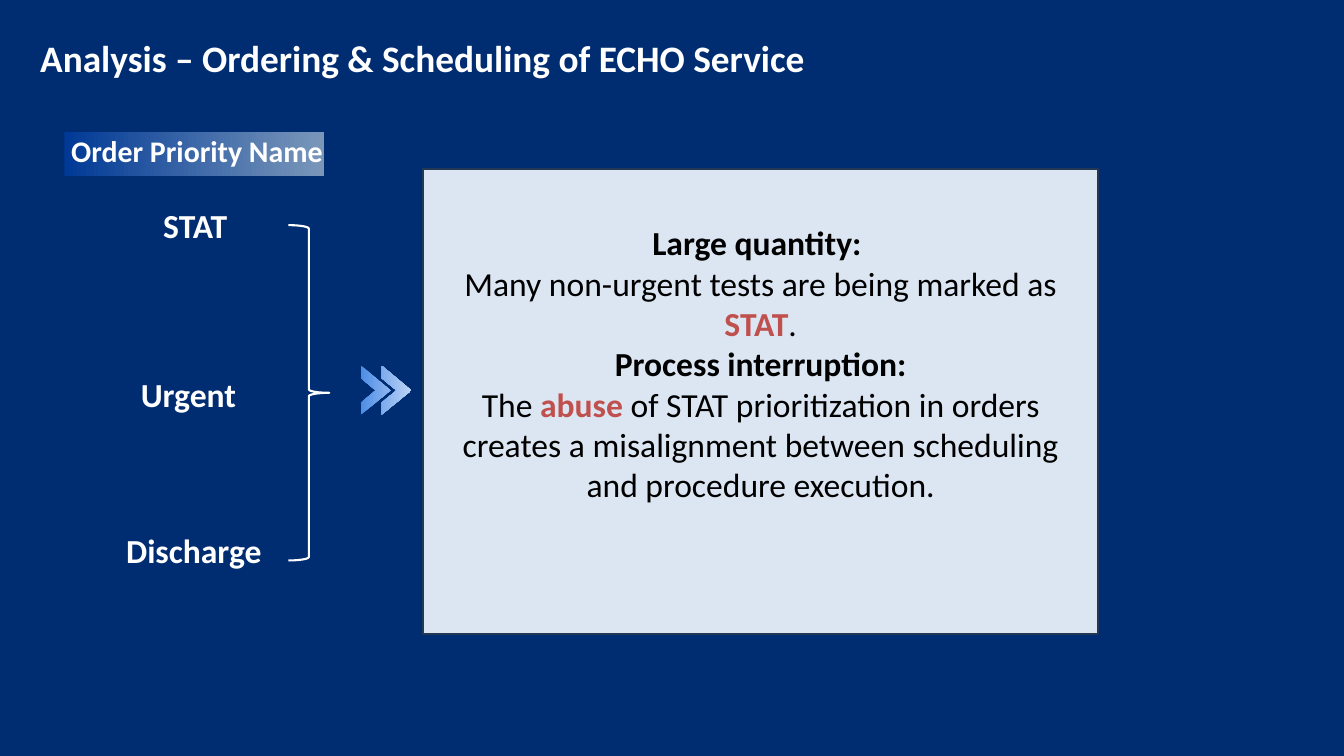
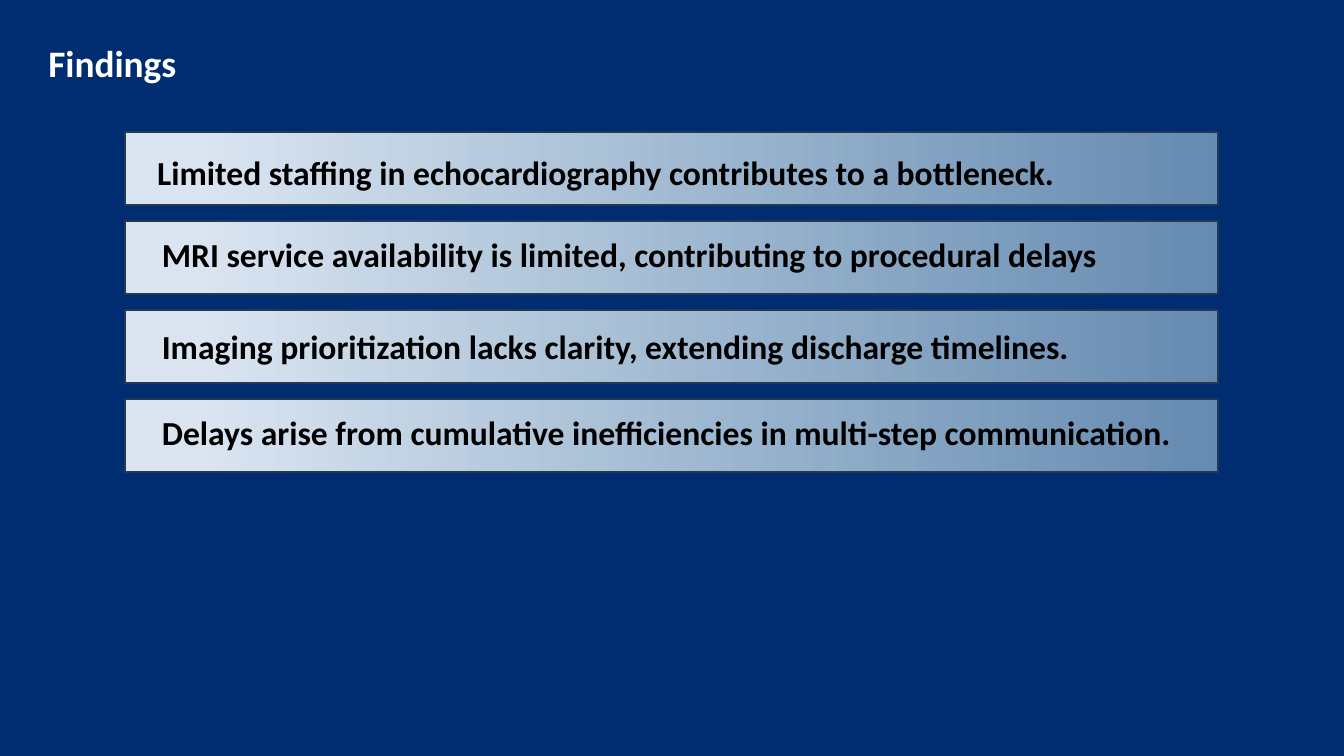
import pptx
import pptx.util
import pptx.dml.color
import pptx.enum.shapes
import pptx.enum.text
import pptx.oxml.ns
from lxml import etree

PX = 9144
SIZE = (2000, 1125)
KIND = pptx.enum.shapes.MSO_SHAPE
ALIGN = pptx.enum.text.PP_ALIGN
HUE = {
    "navy": "002D72", "white": "FFFFFF", "black": "000000", "red": "C0504D",
    "pale": "DCE6F2", "edge": "233953", "royal": "003996", "steel": "7A97BA",
    "ice": "CAE6EE", "sky": "BDD4F6", "blue": "4D8DE5",
}
TITLE = {"size": 40, "bold": True, "hue": "white"}
LABEL = {"size": 36, "bold": True, "hue": "white"}
HEAD = {"size": 32, "bold": True, "hue": "white"}
STRONG = {"size": 36, "bold": True, "hue": "black"}
PLAIN = STRONG | {"bold": False}
ALERT = STRONG | {"hue": "red"}

ORDERS = [("STAT", 68, 107), ("Urgent", 58, 358), ("Discharge", 66, 590)]
ISSUES = [
    [("Large quantity: ", STRONG)],
    [("Many non-urgent tests are being marked as ", PLAIN), ("STAT", ALERT), (".", PLAIN)],
    [("Process interruption:", STRONG)],
    [("The ", PLAIN), ("abuse ", ALERT),
     ("of STAT prioritization in orders creates a misalignment "
      "between scheduling and procedure execution.", PLAIN)],
]
FINDS = [
    ("Limited staffing in echocardiography contributes to a bottleneck.", 38, 24, 1701),
    ("MRI service availability is limited, contributing to procedural delays", 45, 14, 1456),
    ("Imaging prioritization lacks clarity, extending discharge timelines.", 45, 19, 1456),
    ("Delays arise from cumulative inefficiencies in multi-step communication.", 45, 14, 1611),
]


def emu(*vals):
    return [pptx.util.Emu(round(val * PX)) for val in vals]


def rgb(name):
    return pptx.dml.color.RGBColor.from_string(HUE[name])


def style(font, form):
    vals = form | {"name": "Calibri", "size": pptx.util.Pt(form["size"])}
    font.color.rgb = rgb(vals.pop("hue"))
    for key, val in vals.items():
        setattr(font, key, val)


def write(shapes, box, paras, align=ALIGN.LEFT):
    frame = shapes.add_textbox(*emu(*box)).text_frame
    frame.word_wrap = True
    frame.auto_size = pptx.enum.text.MSO_AUTO_SIZE.SHAPE_TO_FIT_TEXT
    for num, runs in enumerate(paras):
        para = frame.add_paragraph() if num else frame.paragraphs[0]
        para.alignment = align
        for text, form in runs:
            run = para.add_run()
            run.text = text
            style(run.font, form)


def blend(shape, first, last, start=0):
    shape.fill.gradient()
    shape.fill.gradient_angle = 0
    stops = shape.fill.gradient_stops
    for stop, name, place in zip(stops, (first, last), (start, 1)):
        stop.color.rgb = rgb(name)
        stop.position = place


def fade(shape, share):
    tint = shape.element.spPr.findall(".//" + pptx.oxml.ns.qn("a:srgbClr"))[-1]
    etree.SubElement(tint, pptx.oxml.ns.qn("a:alpha"), val=str(share * 1000))


def trim(shape, line=None, width=2):
    shape.shadow.inherit = False
    if line:
        shape.line.color.rgb = rgb(line)
        shape.line.width = pptx.util.Pt(width)
    else:
        shape.line.fill.background()


def start(deck, text, left, top):
    slide = deck.slides.add_slide(deck.slide_layouts[6])
    slide.background.fill.solid()
    slide.background.fill.fore_color.rgb = rgb("navy")
    write(slide.shapes, (left, top, 1792, 77), [[(text, TITLE)]])
    return slide.shapes


def rank(shapes, left, top):
    for text, dx, dy in ORDERS:
        write(shapes, (left + dx, top + dy, 253, 71), [[(text, LABEL)]], ALIGN.CENTER)
    brace = shapes.add_shape(KIND.LEFT_BRACE, *emu(left + 333, top + 142, 61, 499))
    brace.rotation = 180
    brace.fill.background()
    trim(brace, "white", 2.25)
    band = shapes.add_shape(KIND.RECTANGLE, *emu(left, top + 4, 386, 65))
    blend(band, "royal", "steel")
    trim(band)
    write(shapes, (left, top, 738, 64), [[("Order Priority Name", HEAD)]])


def panel(shapes, left, top, width, height):
    card = shapes.add_shape(KIND.RECTANGLE, *emu(left, top, width, height))
    card.fill.solid()
    card.fill.fore_color.rgb = rgb("pale")
    trim(card, "edge")
    write(shapes, (left + 21, top + 74, width - 42, 434), ISSUES, ALIGN.CENTER)


def arrow(shapes, left, top):
    tips = [(0, 0), (44, 37), (0, 73), (0, 55), (22, 37), (0, 19)]
    path = shapes.build_freeform(0, 0, scale=PX)
    path.add_line_segments(tips[1:])
    path.move_to(31, 0)
    path.add_line_segments([(x + 31, y) for x, y in tips[1:]])
    mark = path.convert_to_shape(*emu(left, top))
    blend(mark, "blue", "sky")
    trim(mark)


def rows(shapes, left, top, width, height, pitch):
    for num, (text, dx, dy, wide) in enumerate(FINDS):
        y = top + num * pitch
        group = shapes.add_group_shape().shapes
        bar = group.add_shape(KIND.RECTANGLE, *emu(left, y, width, height))
        blend(bar, "pale", "ice", 0.07)
        fade(bar, 50)
        trim(bar, "edge")
        write(group, (left + dx, y + dy, wide, 71), [[(text, STRONG)]])


def main():
    deck = pptx.Presentation()
    deck.slide_width, deck.slide_height = emu(*SIZE)
    shapes = start(deck, "Analysis – Ordering & Scheduling of ECHO Service", 50, 48)
    panel(shapes, 630, 252, 1004, 691)
    rank(shapes, 96, 193)
    arrow(shapes, 537, 544)
    shapes = start(deck, "Findings", 62, 55)
    rows(shapes, 186, 197, 1627, 108, 132.33)
    deck.save("out.pptx")


if __name__ == "__main__":
    main()
